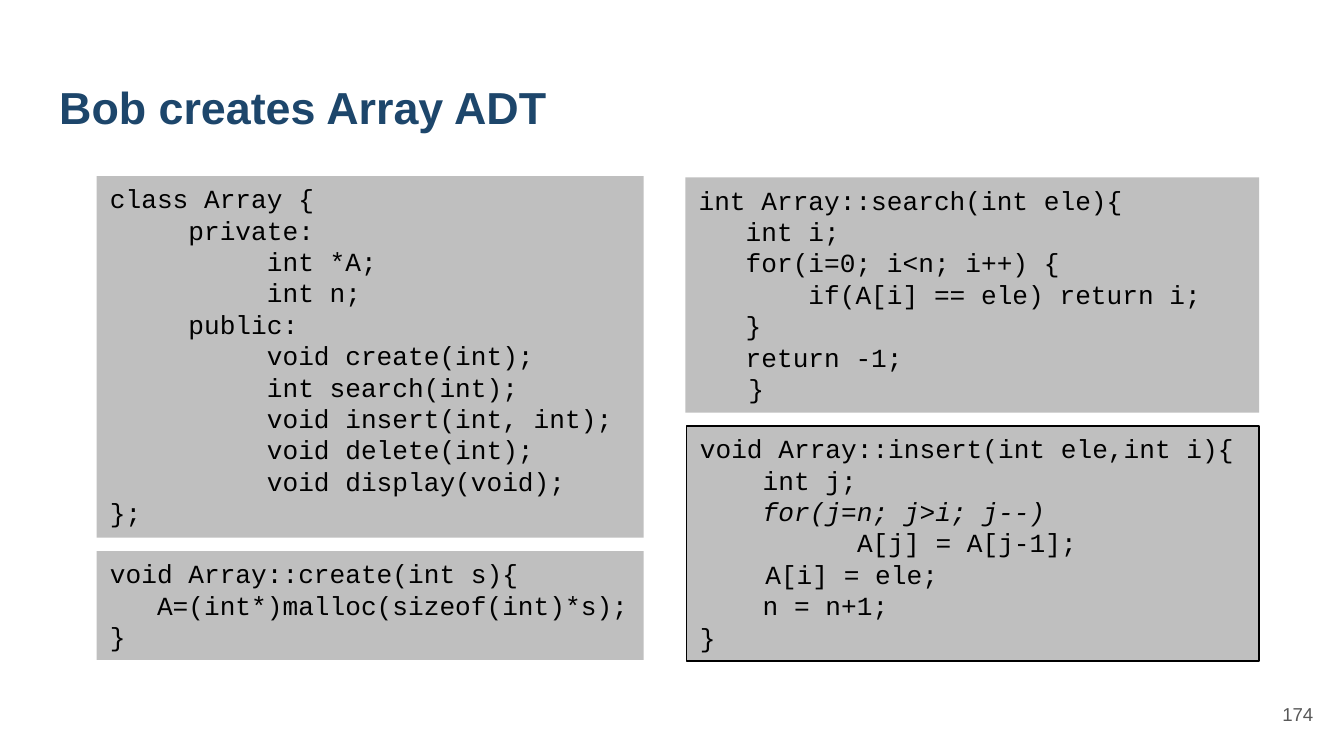
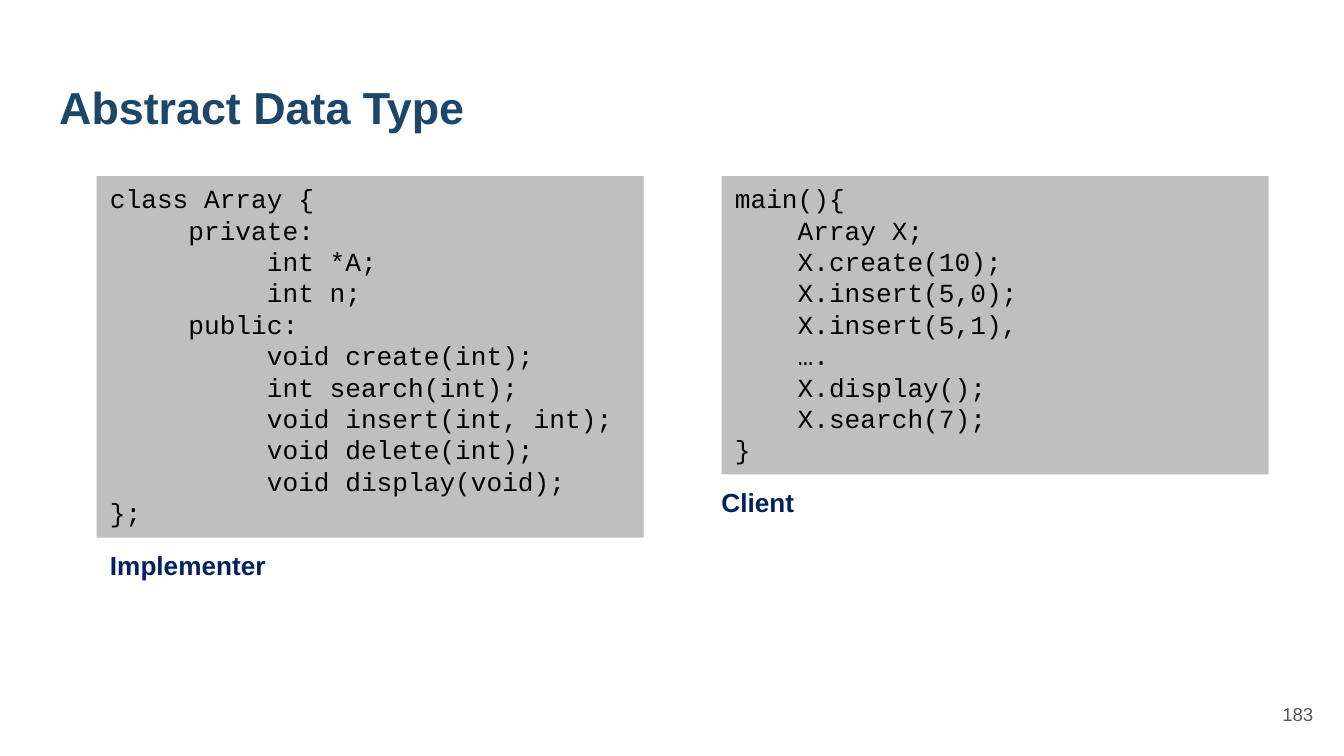
from dataclasses import dataclass, field

import pptx
import pptx.dml.color
import pptx.enum.shapes
import pptx.enum.text
import pptx.util

Inches = pptx.util.Inches
ALIGN = pptx.enum.text.PP_ALIGN
ANCHOR = pptx.enum.text.MSO_ANCHOR

# Shared look
CODE_FILL = "BFBFBF"
HANGING = 0.37
TITLE_FORMAT = {"name": "Arial", "size": pptx.util.Pt(24), "bold": True, "color": "1D466B"}
NUMBER_FORMAT = {"name": "Arial", "size": pptx.util.Pt(10), "color": "595959"}
CODE_FORMAT = {"name": "Courier New", "size": pptx.util.Pt(14), "color": "000000"}
LABEL_FORMAT = {"name": "Arial", "size": pptx.util.Pt(14), "bold": True, "color": "002060"}


@dataclass
class Box:
    left: float
    top: float
    width: float
    height: float

    def lengths(self) -> list:
        return [Inches(value) for value in (self.left, self.top, self.width, self.height)]


@dataclass
class CodeBlock:
    box: Box
    lines: list[str]
    hanging: bool = False
    outlined: bool = False
    # Line index -> number of leading characters in italics
    italics: dict[int, int] = field(default_factory=dict)
    # Indexes of lines that keep the left margin without the hanging indent
    margin_only: tuple[int, ...] = ()


@dataclass
class Label:
    box: Box
    text: str


@dataclass
class CodeSlide:
    title: str
    number: str
    blocks: list[CodeBlock]
    labels: list[Label] = field(default_factory=list)


TITLE_BOX = Box(0.34, 0.49, 9.32, 0.63)
NUMBER_BOX = Box(9.27, 5.1, 0.6, 0.43)

# Code and slide content
ARRAY_CLASS = CodeBlock(Box(0.72, 1.31, 4.07, 2.69), [
    "class Array {",
    "     private:",
    "          int *A;",
    "          int n;",
    "     public:",
    "          void create(int);",
    "          int search(int);",
    "          void insert(int, int);",
    "          void delete(int);",
    "          void display(void);",
    "};",
])
CREATE = CodeBlock(Box(0.72, 4.1, 4.07, 0.81), [
    "void Array::create(int s){",
    "   A=(int*)malloc(sizeof(int)*s);",
    "}",
])
SEARCH = CodeBlock(Box(5.1, 1.32, 4.27, 1.75), [
    "int Array::search(int ele){",
    "   int i;",
    "   for(i=0; i<n; i++) {",
    "       if(A[i] == ele) return i;",
    "   }",
    "   return -1;",
    "}",
], hanging=True, margin_only=(6,))
INSERT = CodeBlock(Box(5.11, 3.17, 4.26, 1.75), [
    "void Array::insert(int ele,int i){",
    "    int j;",
    "    for(j=n; j>i; j--)",
    "          A[j] = A[j-1];",
    "\t A[i] = ele;",
    "    n = n+1;",
    "}",
], hanging=True, outlined=True, italics={2: 22, 3: 5})
CLIENT = CodeBlock(Box(5.37, 1.31, 4.07, 2.22), [
    "main(){",
    "    Array X;",
    "    X.create(10);",
    "    X.insert(5,0);",
    "    X.insert(5,1),",
    "    ….",
    "    X.display();",
    "    X.search(7);",
    "}",
])

SLIDES = [
    CodeSlide("Bob creates Array ADT", "174", [ARRAY_CLASS, CREATE, SEARCH, INSERT]),
    CodeSlide("Abstract Data Type", "183", [ARRAY_CLASS, CLIENT], [
        Label(Box(0.72, 4.04, 4.07, 0.34), "Implementer"),
        Label(Box(5.27, 3.57, 4.07, 0.34), "Client"),
    ]),
]


def rgb(value: str) -> pptx.dml.color.RGBColor:
    return pptx.dml.color.RGBColor.from_string(value)


def format_font(font, values: dict) -> None:
    for name, value in values.items():
        if name == "color":
            font.color.rgb = rgb(value)
        else:
            setattr(font, name, value)


def prepare_frame(frame, anchor=ANCHOR.TOP, inset: float = 0.05) -> None:
    values = {
        "word_wrap": True,
        "auto_size": pptx.enum.text.MSO_AUTO_SIZE.NONE,
        "vertical_anchor": anchor,
        "margin_left": Inches(0.1),
        "margin_right": Inches(0.1),
        "margin_top": Inches(inset),
        "margin_bottom": Inches(inset),
    }
    for name, value in values.items():
        setattr(frame, name, value)


def write_text(paragraph, text: str, values: dict, align=ALIGN.LEFT) -> None:
    paragraph.alignment = align
    run = paragraph.add_run()
    run.text = text
    format_font(run.font, values)


def add_title(slide, text: str) -> None:
    title = slide.shapes.title
    title.left, title.top, title.width, title.height = TITLE_BOX.lengths()
    prepare_frame(title.text_frame, inset=0.1)
    write_text(title.text_frame.paragraphs[0], text, TITLE_FORMAT)


def add_number(slide, text: str) -> None:
    frame = slide.shapes.add_textbox(*NUMBER_BOX.lengths()).text_frame
    prepare_frame(frame, ANCHOR.MIDDLE, 0.1)
    write_text(frame.paragraphs[0], text, NUMBER_FORMAT, ALIGN.RIGHT)


def add_label(slide, label: Label) -> None:
    frame = slide.shapes.add_textbox(*label.box.lengths()).text_frame
    prepare_frame(frame)
    write_text(frame.paragraphs[0], label.text, LABEL_FORMAT)


def add_code(slide, block: CodeBlock) -> None:
    shape = slide.shapes.add_shape(pptx.enum.shapes.MSO_SHAPE.RECTANGLE, *block.box.lengths())
    shape.shadow.inherit = False
    shape.fill.solid()
    shape.fill.fore_color.rgb = rgb(CODE_FILL)
    if block.outlined:
        shape.line.color.rgb = rgb("000000")
        shape.line.width = pptx.util.Pt(0.75)
    else:
        shape.line.fill.background()

    frame = shape.text_frame
    prepare_frame(frame)
    for index, line in enumerate(block.lines):
        paragraph = frame.paragraphs[0] if index == 0 else frame.add_paragraph()
        align = ALIGN.LEFT
        if block.hanging:
            properties = paragraph._p.get_or_add_pPr()
            properties.set("marL", str(Inches(HANGING)))
            if index in block.margin_only:
                properties.set("indent", "0")
            else:
                properties.set("indent", str(-Inches(HANGING)))
                align = ALIGN.JUSTIFY
        split = block.italics.get(index, 0)
        for text, italic in ((line[:split], True), (line[split:], False)):
            if text:
                write_text(paragraph, text, CODE_FORMAT | {"italic": italic}, align)


def main() -> None:
    presentation = pptx.Presentation()
    presentation.slide_width = Inches(10)
    presentation.slide_height = Inches(10) * 9 // 16
    title_only = presentation.slide_layouts[5]
    for content in SLIDES:
        slide = presentation.slides.add_slide(title_only)
        add_title(slide, content.title)
        add_number(slide, content.number)
        for block in content.blocks:
            add_code(slide, block)
        for label in content.labels:
            add_label(slide, label)
    presentation.save("out.pptx")


if __name__ == "__main__":
    main()
